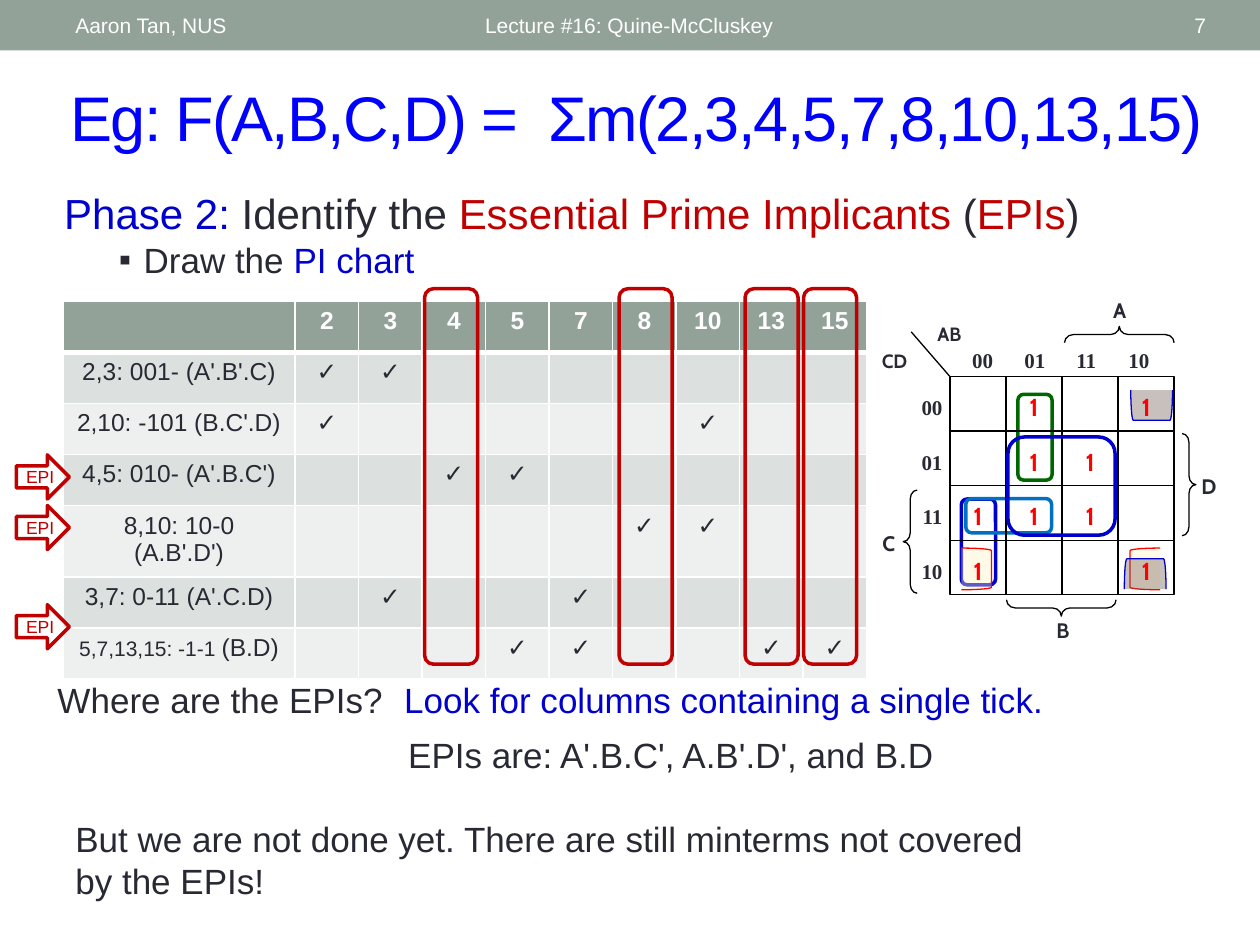
from lxml import etree
from pptx import Presentation
from pptx import util as u
from pptx.dml.color import RGBColor
from pptx.enum import shapes, text
from pptx.oxml.ns import qn

INK, WHITE, BLACK, RED = "292934", "FFFFFF", "000000", "FF0000"
BLUE, CRIMSON, SAGE = "0000CC", "C00000", "93A299"
BANDS = ("EEF0EF", "DCE0DE")
SERIF, ROUNDED = "Times New Roman", "Cabin"
KIND = shapes.MSO_SHAPE
LEFT, CENTER, RIGHT = text.PP_ALIGN.LEFT, text.PP_ALIGN.CENTER, text.PP_ALIGN.RIGHT
MIDDLE, TOP = text.MSO_ANCHOR.MIDDLE, text.MSO_ANCHOR.TOP


def rgb(color):
    return RGBColor.from_string(color)


def cms(*lengths):
    return [u.Cm(n) for n in lengths]


class Deck:
    """Holds the text style, the current slide and the shape tree drawn into."""

    font = "Arial"

    def __init__(self, prs):
        self.slide = prs.slides.add_slide(prs.slide_layouts[1])
        self.shapes = self.slide.shapes

    def group(self):
        """Send the following elements into a new group."""
        self.shapes = self.slide.shapes.add_group_shape().shapes

    def ungroup(self):
        self.shapes = self.slide.shapes

    def format(self, p, size, color=INK, bold=False, font=None, align=LEFT):
        p.alignment = align
        for r in p.runs:
            r.font.name = font or self.font
            r.font.size, r.font.bold = u.Pt(size), bold
            r.font.color.rgb = rgb(color)

    def runs(self, p, parts, **style):
        """Fill a paragraph with (text, size, color) parts."""
        for words, size, color in parts:
            p.add_run().text = words
        self.format(p, parts[0][1], **style)
        for r, (words, size, color) in zip(p.runs, parts):
            r.font.size, r.font.color.rgb = u.Pt(size), rgb(color)

    def placeholder(self, index, box):
        sp = self.slide.placeholders[index]
        sp.left, sp.top, sp.width, sp.height = cms(*box)
        sp.text_frame.auto_size = text.MSO_AUTO_SIZE.NONE
        return sp.text_frame

    def title(self, words, box):
        tf = self.placeholder(0, box)
        tf.text = words
        self.format(tf.paragraphs[0], 36, "0000FF")
        tf.paragraphs[0].runs[0].font._element.set("spc", "-100")

    def body(self, heading, item, box):
        tf = self.placeholder(1, box)
        p = tf.paragraphs[0]
        self.runs(p, heading)
        pPr = p._p.get_or_add_pPr()
        pPr.set("marL", "0")
        pPr.set("indent", "0")
        etree.SubElement(pPr, qn("a:buNone"))
        p = tf.add_paragraph()
        p.level, p.space_before = 1, u.Pt(0)
        self.runs(p, item)
        pPr = p._p.get_or_add_pPr()
        pPr.set("marL", str(u.Cm(1.6)))
        pPr.set("indent", str(u.Cm(-0.5)))
        etree.SubElement(pPr, qn("a:buChar")).set("char", "▪")

    def text(self, words, box, size, color=INK, anchor=TOP, **style):
        tf = self.shapes.add_textbox(*cms(*box)).text_frame
        tf.word_wrap, tf.vertical_anchor = True, anchor
        tf.text = words
        for p in tf.paragraphs:
            self.format(p, size, color, **style)
        return tf

    def shape(self, kind, box, line=None, width=0.75, fill=None, alpha=None,
              rot=0, flip=None, adj=None):
        sp = self.shapes.add_shape(kind, *cms(*box))
        sp.shadow.inherit = False
        sp.rotation = rot
        if flip:
            sp._element.spPr.find(qn("a:xfrm")).set(flip, "1")
        if adj:
            sp.adjustments[0] = adj
        if fill:
            sp.fill.solid()
            sp.fill.fore_color.rgb = rgb(fill)
        else:
            sp.fill.background()
        if alpha:
            clr = sp._element.spPr.find(".//" + qn("a:srgbClr"))
            etree.SubElement(clr, qn("a:alpha")).set("val", str(alpha * 1000))
        if line:
            sp.line.color.rgb, sp.line.width = rgb(line), u.Pt(width)
        else:
            sp.line.fill.background()
        return sp

    def loop(self, box, color, rot=0):
        self.shape(KIND.ROUNDED_RECTANGLE, box, color, 2, rot=rot)

    def line(self, x1, y1, x2, y2):
        c = self.shapes.add_connector(shapes.MSO_CONNECTOR.STRAIGHT, *cms(x1, y1, x2, y2))
        c.line.color.rgb, c.line.width = rgb(BLACK), u.Pt(0.75)
        etree.SubElement(c._element.spPr, qn("a:effectLst"))
        return c

    def rule_below(self, cell, width):
        """Draw a white bottom border; call before the cell is filled."""
        ln = etree.SubElement(cell._tc.get_or_add_tcPr(), qn("a:lnB"))
        ln.set("w", str(u.Pt(width)))
        fill = etree.SubElement(ln, qn("a:solidFill"))
        etree.SubElement(fill, qn("a:srgbClr")).set("val", WHITE)

    def pi_chart(self, minterms, implicants, box):
        """Table of prime implicants, ticked under each minterm covered."""
        tbl = self.shapes.add_table(len(implicants) + 1, len(minterms) + 1, *cms(*box)).table
        for i, col in enumerate(tbl.columns):
            col.width = u.Cm(1.28 if i else 4.68)
        for row in tbl.rows:
            row.height = u.Cm(1.03)
        rows = [[""] + minterms]
        for name, covered in implicants:
            rows.append([name] + ["✓" if m in covered else "" for m in minterms])
        for i, row in enumerate(rows):
            for j, value in enumerate(row):
                cell = tbl.cell(i, j)
                if i == 0:
                    self.rule_below(cell, 3)
                cell.fill.solid()
                cell.fill.fore_color.rgb = rgb(BANDS[i % 2] if i else SAGE)
                p = cell.text_frame.paragraphs[0]
                if isinstance(value, list):
                    self.runs(p, value, align=CENTER)
                elif value:
                    p.text = str(value)
                    self.format(p, 14, INK if i else WHITE, bold=i == 0, align=CENTER)

    def karnaugh_map(self, x, y, w, h, ones):
        """Four by four grid of w by h cells, with a 1 in each (column, row) of ones."""
        grid = self.shape(KIND.RECTANGLE, (x, y, 4 * w, 4 * h), BLACK)
        for i in range(1, 4):
            across = self.line(x, y + i * h, x + 4 * w, y + i * h)
            down = self.line(x + i * w, y, x + i * w, y + 4 * h)
            if i == 2:
                across.begin_connect(grid, 1)
                across.end_connect(grid, 3)
                down.begin_connect(grid, 0)
                down.end_connect(grid, 2)
        for col, row in ones:
            self.text("1", (x + col * w, y + row * h + 0.19, w, 0.88), 14, RED,
                      bold=True, font=ROUNDED, align=CENTER)
        self.line(x, y, x - 0.78, y - 0.9)
        codes = ["00", "01", "11", "10"]
        tf = self.text("\n".join(codes), (18.26, 7.82, 0.99, 4.55), 12,
                       bold=True, font=SERIF, align=RIGHT)
        for p in tf.paragraphs:
            p.space_after = u.Pt(17)
        tf = self.text("\t".join(codes), (19.35, 6.88, 4.22, 0.89), 12, bold=True, font=SERIF)
        tabs = etree.SubElement(tf.paragraphs[0]._p.get_or_add_pPr(), qn("a:tabLst"))
        for i in range(1, 4):
            tab = etree.SubElement(tabs, qn("a:tab"))
            tab.set("pos", str(u.Cm(1.05 * i)))
            tab.set("algn", "l")


def main():
    prs = Presentation()
    prs.slide_width, prs.slide_height = cms(25.4, 19.05)
    s = Deck(prs)

    s.shape(KIND.RECTANGLE, (0, 0, 25.4, 1.02), fill=SAGE)
    for words, x, w, align in (("Aaron Tan, NUS", 1.27, 8.05, LEFT),
                               ("Lecture #16: Quine-McCluskey", 9.53, 11.43, LEFT),
                               ("7", 22.15, 2.41, RIGHT)):
        s.text(words, (x, 0.05, w, 0.91), 12, WHITE, MIDDLE, align=align)
    s.title("Eg: F(A,B,C,D) =  Σm(2,3,4,5,7,8,10,13,15)", (1.17, 1.45, 23.39, 1.78))
    s.body([("Phase 2:", 24, BLUE), (" Identify the ", 24, INK),
            ("Essential Prime Implicants ", 24, CRIMSON), ("(", 24, INK),
            ("EPIs", 24, CRIMSON), (")", 24, INK)],
           [("Draw the ", 20, INK), ("PI chart", 20, BLUE)], (1.04, 3.66, 23.34, 2.49))

    s.loop((19.38, 10.06, 0.69, 1.73), BLUE)
    s.loop((19.99, 9.53, 0.69, 1.73), "0070C0", rot=270)
    s.loop((20.52, 7.95, 0.69, 1.73), "006600")
    cream, brown = ("FFF0C2", RED), ("6C5B52", BLUE)
    for x, y, (fill, line), rot, flip in ((19.38, 11.05, cream, 0, "flipH"),
                                          (22.78, 11.05, cream, 0, None),
                                          (22.78, 11.15, brown, 90, None),
                                          (22.91, 7.75, brown, 270, "flipV")):
        s.shape(KIND.LEFT_BRACKET, (x, y, 0.61, 0.84), line, fill=fill, alpha=38,
                rot=rot, flip=flip)

    s.group()
    s.karnaugh_map(19.15, 7.59, 1.13, 1.1, [(1, 0), (3, 0), (1, 1), (2, 1), (0, 2),
                                            (1, 2), (2, 2), (0, 3), (3, 3)])
    for box, rot, flip, adj in (((22.4, 5.64, 0.33, 2.21), 90, "flipV", 0.54),
                                ((21.23, 11.15, 0.33, 2.21), 270, None, 0.54),
                                ((18.21, 9.88, 0.28, 2.08), 0, None, 0.64),
                                ((23.83, 8.74, 0.28, 2.06), 0, "flipH", 0.64)):
        s.shape(KIND.LEFT_BRACE, box, BLACK, rot=rot, flip=flip, adj=adj)
    for name, x, y, w, size in (("A", 22.15, 5.87, 0.84, 12), ("B", 21.01, 12.32, 0.84, 12),
                                ("C", 17.5, 10.57, 0.84, 12), ("D", 23.95, 9.42, 0.84, 12),
                                ("AB", 18.49, 6.38, 1.3, 11), ("CD", 17.25, 6.91, 1.57, 11)):
        s.text(name, (x, y, w, 0.74), size, bold=True, font=ROUNDED, align=CENTER)
    s.ungroup()
    s.loop((20.32, 8.81, 2.16, 1.98), BLUE)

    s.pi_chart([2, 3, 4, 5, 7, 8, 10, 13, 15],
               [("2,3: 001- (A'.B'.C)", {2, 3}),
                ("2,10: -101 (B.C'.D)", {2, 10}),
                ("4,5: 010- (A'.B.C')", {4, 5}),
                ("8,10: 10-0 (A.B'.D')", {8, 10}),
                ("3,7: 0-11 (A'.C.D)", {3, 7}),
                ([("5,7,13,15: -1-1 ", 12, INK), ("(B.D)", 14, INK)], {5, 7, 13, 15})],
               (1.27, 6.07, 16.2, 7.21))
    for x in (8.56, 12.48, 15.02, 16.2):
        s.loop((x, 5.82, 1.07, 7.57), CRIMSON)
    for y in (9.17, 10.19, 12.19):
        s.group()
        s.shape(KIND.RIGHT_ARROW, (0.33, y, 1.07, 0.89), CRIMSON, 2)
        s.text("EPI", (0.2, y + 0.1, 1.22, 0.69), 10, CRIMSON, align=CENTER)
    s.ungroup()

    s.text("Where are the EPIs?", (0.91, 13.56, 7.34, 1.12), 20)
    s.text("Look for columns containing a single tick.", (7.9, 13.56, 13.56, 1.12), 20, BLUE)
    s.text("EPIs are: A'.B.C', A.B'.D', and B.D", (7.98, 14.66, 13.03, 1.12), 20)
    s.text("But we are not done yet. There are still minterms not covered by the EPIs!",
           (1.27, 16.36, 20.55, 1.96), 20)
    prs.save("out.pptx")


if __name__ == "__main__":
    main()
